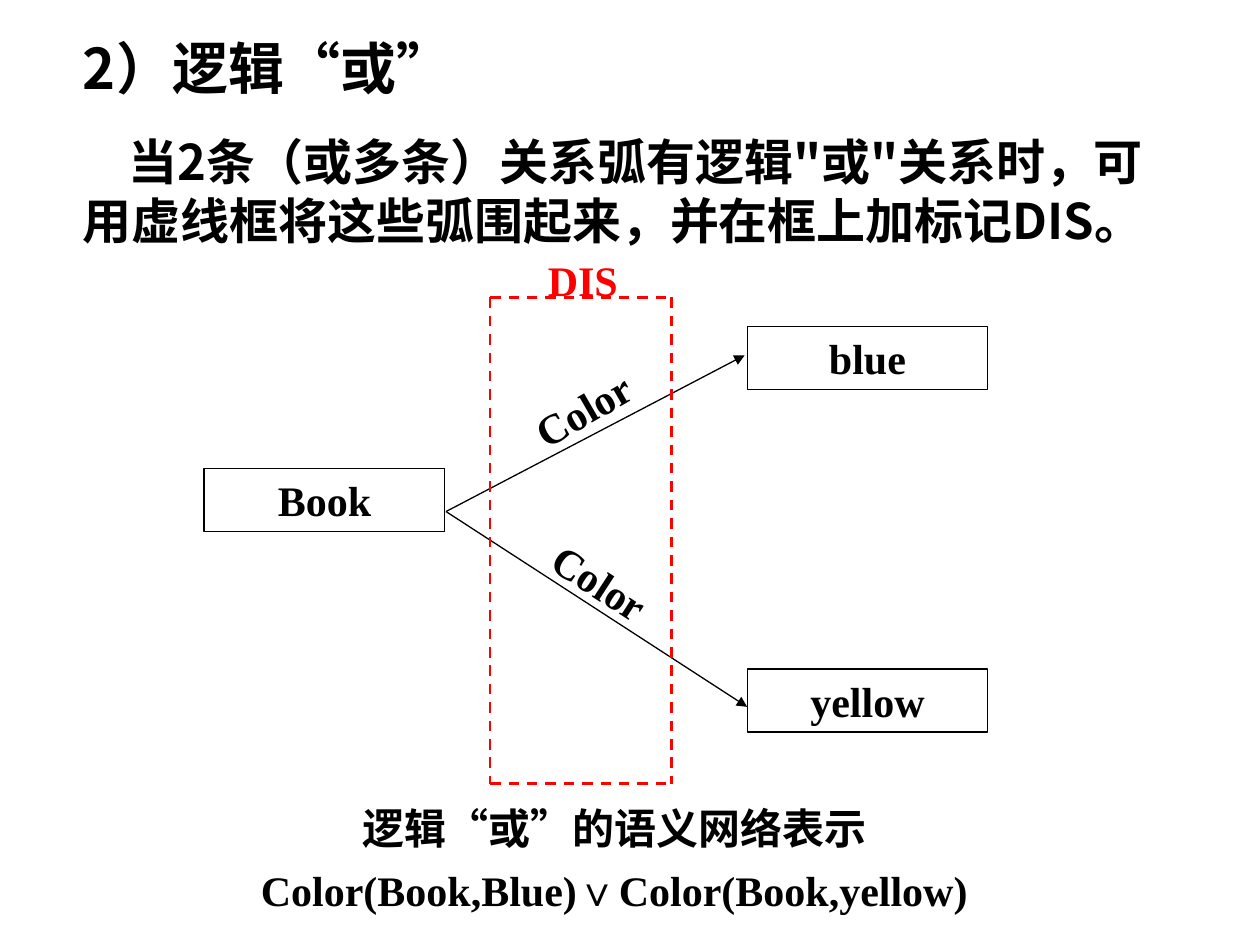
"""Build the slide on the logical OR of arcs in a semantic network."""

from dataclasses import dataclass
from typing import Any, Optional

import lxml.etree
import pptx
import pptx.dml.color
import pptx.enum.dml
import pptx.enum.shapes
import pptx.enum.text
import pptx.oxml.ns
import pptx.util

Inches = pptx.util.Inches
Point = tuple[float, float]
Fragment = tuple[str, str]


@dataclass(frozen=True)
class Theme:
    black: str = "000000"
    red: str = "FF0000"
    serif: str = "Times New Roman"
    sans: str = "Noto Sans CJK SC"
    caption: str = "Karla"
    title_size: float = 32
    body_size: float = 28
    label_size: float = 24
    thin: float = 0.75
    thick: float = 1.5


THEME = Theme()


@dataclass(frozen=True)
class TextLine:
    fragments: tuple[Fragment, ...]
    size: float = THEME.label_size
    color: str = THEME.black
    centered: bool = True
    space_before: float = 0
    line_spacing: Optional[float] = None
    indent: float = 0


@dataclass(frozen=True)
class Label:
    left: float
    top: float
    width: float
    height: float
    lines: tuple[TextLine, ...]
    rotation: float = 0


@dataclass(frozen=True)
class Node:
    left: float
    top: float
    name: str


@dataclass(frozen=True)
class Arc:
    start: Point
    end: Point


def color_of(code: str) -> pptx.dml.color.RGBColor:
    return pptx.dml.color.RGBColor.from_string(code)


def label_line(text: str, color: str = THEME.black) -> TextLine:
    return TextLine(((text, THEME.serif),), color=color)


NODE_SIZE = (1.91, 0.5)
NODES = (Node(1.62, 3.72, "Book"), Node(5.93, 5.31, "yellow"), Node(5.93, 2.59, "blue"))
BOOK_EXIT = (3.54, 4.06)
ARCS = (Arc(BOOK_EXIT, (5.91, 2.82)), Arc(BOOK_EXIT, (5.93, 5.61)))
FRAME = (3.89, 2.36, 5.33, 6.22)
LABELS = (
    Label(3.97, 1.97, 1.31, 0.5, (label_line("DIS", THEME.red),)),
    Label(3.81, 4.37, 1.91, 0.5, (label_line("Color"),), 33),
    Label(3.61, 3, 2.03, 0.5, (label_line("Color"),), 330),
    Label(1.32, 6.43, 7.11, 0.87, (
        TextLine((("逻辑", THEME.caption), ("“", THEME.serif), ("或", THEME.caption),
                  ("”", THEME.serif), ("的语义网络表示", THEME.caption)), line_spacing=0.7),
        TextLine((("Color(Book,Blue)∨Color(Book,yellow)", THEME.serif),),
                 space_before=15, line_spacing=0.7),
    )),
    Label(0.56, 0.22, 8.82, 2.28, (
        TextLine((("2）逻辑", THEME.sans), ("“", THEME.serif), ("或", THEME.sans),
                  ("”", THEME.serif)), THEME.title_size, centered=False),
        TextLine((("当2条（或多条）关系弧有逻辑\"或\"关系时，可用虚线框将这些弧围起来，"
                   "并在框上加标记DIS。", THEME.sans),),
                 THEME.body_size, centered=False, space_before=17.5, indent=0.36),
    )),
)


def write_lines(text_frame: Any, lines: tuple[TextLine, ...]) -> None:
    text_frame.word_wrap = True
    text_frame.vertical_anchor = pptx.enum.text.MSO_ANCHOR.TOP
    alignments = pptx.enum.text.PP_ALIGN
    for index, line in enumerate(lines):
        paragraph = text_frame.add_paragraph() if index else text_frame.paragraphs[0]
        paragraph.alignment = alignments.CENTER if line.centered else alignments.LEFT
        paragraph.space_before = pptx.util.Pt(line.space_before)
        paragraph.line_spacing = line.line_spacing
        if line.indent:
            paragraph._p.get_or_add_pPr().set("indent", str(Inches(line.indent)))
        for text, font_name in line.fragments:
            run = paragraph.add_run()
            run.text = text
            run.font.name = font_name
            run.font.size = pptx.util.Pt(line.size)
            run.font.bold = True
            run.font.color.rgb = color_of(line.color)
            east_asian = lxml.etree.SubElement(
                run._r.get_or_add_rPr(), pptx.oxml.ns.qn("a:ea"))
            east_asian.set("typeface", THEME.sans)


def draw_node(shapes: Any, node: Node) -> None:
    shape = shapes.add_shape(
        pptx.enum.shapes.MSO_SHAPE.RECTANGLE,
        Inches(node.left), Inches(node.top), *map(Inches, NODE_SIZE))
    shape.shadow.inherit = False
    shape.fill.background()
    shape.line.color.rgb = color_of(THEME.black)
    shape.line.width = pptx.util.Pt(THEME.thin)
    write_lines(shape.text_frame, (label_line(node.name),))


def draw_line(shapes: Any, start: Point, end: Point, color: str, width: float) -> Any:
    connector = shapes.add_connector(
        pptx.enum.shapes.MSO_CONNECTOR.STRAIGHT, *map(Inches, start + end))
    connector.line.color.rgb = color_of(color)
    connector.line.width = pptx.util.Pt(width)
    lxml.etree.SubElement(connector._element.spPr, pptx.oxml.ns.qn("a:effectLst"))
    return connector


def draw_arc(shapes: Any, arc: Arc) -> None:
    connector = draw_line(shapes, arc.start, arc.end, THEME.black, THEME.thin)
    tail = lxml.etree.SubElement(
        connector.line._get_or_add_ln(), pptx.oxml.ns.qn("a:tailEnd"))
    tail.set("type", "triangle")


def draw_frame(shapes: Any) -> None:
    left, top, right, bottom = FRAME
    sides = (
        ((left, top), (left, bottom)),
        ((left, bottom), (right, bottom)),
        ((left, top), (right, top)),
        ((right, top), (right, bottom)),
    )
    group = shapes.add_group_shape()
    for start, end in sides:
        side = draw_line(group.shapes, start, end, THEME.red, THEME.thick)
        side.line.dash_style = pptx.enum.dml.MSO_LINE.DASH


def draw_label(shapes: Any, label: Label) -> None:
    box = shapes.add_textbox(
        Inches(label.left), Inches(label.top), Inches(label.width), Inches(label.height))
    box.rotation = label.rotation
    write_lines(box.text_frame, label.lines)


def main() -> None:
    presentation = pptx.Presentation()
    presentation.slide_width = Inches(10)
    presentation.slide_height = Inches(7.5)
    shapes = presentation.slides.add_slide(presentation.slide_layouts[6]).shapes
    for node in NODES:
        draw_node(shapes, node)
    for arc in ARCS:
        draw_arc(shapes, arc)
    draw_frame(shapes)
    for label in LABELS:
        draw_label(shapes, label)
    presentation.save("out.pptx")


if __name__ == "__main__":
    main()
